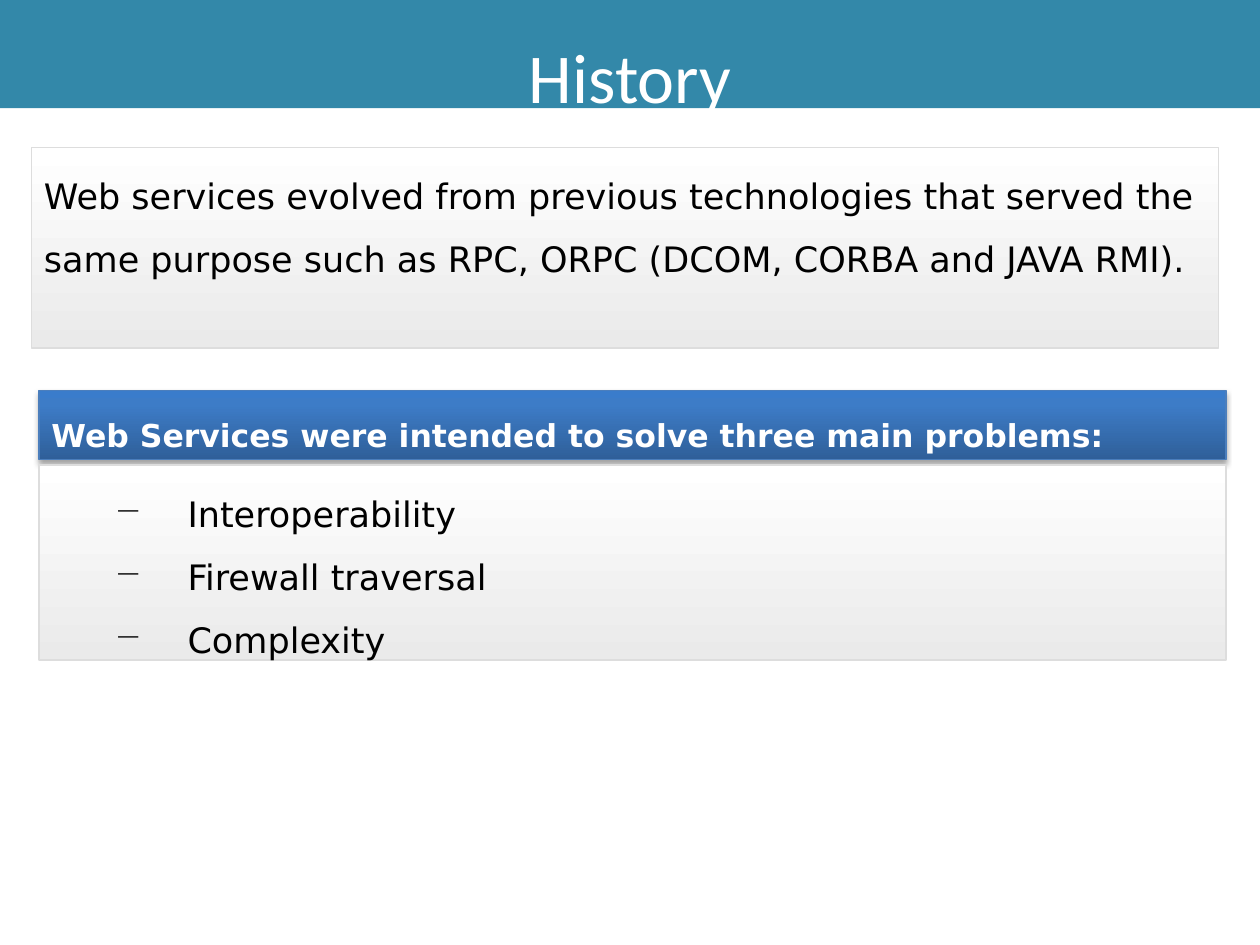
from copy import deepcopy

from pptx import Presentation
from pptx.dml.color import RGBColor
from pptx.enum.shapes import MSO_SHAPE as Shape
from pptx.enum.text import MSO_ANCHOR as Anchor, PP_ALIGN as Align
from pptx.oxml import parse_xml
from pptx.oxml.ns import nsdecls, qn
from pptx.util import Inches, Pt

TEAL = RGBColor(0x33, 0x88, 0xA9)
WHITE = RGBColor(0xFF, 0xFF, 0xFF)
BLACK = RGBColor(0, 0, 0)
PALE = RGBColor(0xEA, 0xEA, 0xEA)
BORDER = RGBColor(0xDD, 0xDD, 0xDD)
HEADER_LINE = RGBColor(0x4B, 0x7E, 0xBC)
DEEP_BLUE = RGBColor(0x2F, 0x5F, 0x99)
MID_BLUE = RGBColor(0x3D, 0x7C, 0xC7)
BRIGHT_BLUE = RGBColor(0x3A, 0x7C, 0xCB)
DASH = RGBColor(0x29, 0x29, 0x29)

TITLE = "History"
INTRO = ("Web services evolved from previous technologies that served the same "
         "purpose such as RPC, ORPC (DCOM, CORBA and JAVA RMI).")
HEADING = "Web Services were intended to solve three main problems:"
PROBLEMS = ["Interoperability", "Firewall traversal", "Complexity"]

SLIDE_W, SLIDE_H = 10, 7.5
PANEL_W = 9.42
LIST_LEFT = 0.31
GREY_STOPS = [(0, WHITE), (1, PALE)]
BLUE_STOPS = [(0, DEEP_BLUE), (0.8, MID_BLUE), (1, BRIGHT_BLUE)]

deck = Presentation()
deck.slide_width, deck.slide_height = Inches(SLIDE_W), Inches(SLIDE_H)
slide = deck.slides.add_slide(deck.slide_layouts[6])


def add_box(left, top, width, height, lines, size, color, font="DejaVu Sans",
            bold=False, align=Align.LEFT, anchor=Anchor.TOP, indent=None, bullet=None):
    box = slide.shapes.add_shape(
        Shape.RECTANGLE, Inches(left), Inches(top), Inches(width), Inches(height))
    box.shadow.inherit = False
    frame = box.text_frame
    frame.word_wrap = True
    frame.vertical_anchor = anchor
    for number, line in enumerate(lines):
        para = frame.add_paragraph() if number else frame.paragraphs[0]
        para.text = line
        para.alignment = align
        para.line_spacing = 1.5
        props = para._p.get_or_add_pPr()
        if indent:
            margin, hanging = indent
            props.set("marL", str(Inches(margin)))
            props.set("indent", str(Inches(-hanging)))
        if bullet:
            para.level = 1
            props.append(parse_xml(
                f'<a:buClr {nsdecls("a")}><a:srgbClr val="{DASH}"/></a:buClr>'))
            props.append(parse_xml(f'<a:buChar {nsdecls("a")} char="{bullet}"/>'))
        para.font.name, para.font.size = font, Pt(size)
        para.font.bold, para.font.color.rgb = bold, color
    return box


def shade(box, stops, angle, line_color, line_width):
    box.fill.gradient()
    box.fill.gradient_angle = angle
    stop_list = box._element.spPr.find(qn("a:gradFill")).find(qn("a:gsLst"))
    while len(stop_list) < len(stops):
        stop_list.append(deepcopy(stop_list[-1]))
    for stop, (position, color) in zip(box.fill.gradient_stops, stops):
        stop.position, stop.color.rgb = position, color
    box.line.color.rgb, box.line.width = line_color, Pt(line_width)


title = add_box(0, 0, SLIDE_W, 0.86, [TITLE], 40, WHITE, "Calibri",
                align=Align.CENTER, anchor=Anchor.MIDDLE)
title.fill.solid()
title.fill.fore_color.rgb = TEAL
title.line.fill.background()

intro = add_box(0.25, 1.17, PANEL_W, 1.59, [INTRO], 20, BLACK)
shade(intro, GREY_STOPS, 270, BORDER, 1)

heading = add_box(LIST_LEFT, 3.1, PANEL_W, 0.55, [HEADING], 18, WHITE,
                  bold=True, indent=(0.67, 0.67))
shade(heading, BLUE_STOPS, 90, HEADER_LINE, 0.75)
heading._element.spPr.find(qn("a:effectLst")).append(parse_xml(
    f'<a:outerShdw {nsdecls("a")} blurRad="{Pt(3.1)}" dist="{Pt(1.8)}" dir="5400000" '
    f'rotWithShape="0"><a:srgbClr val="{BLACK}"><a:alpha val="35000"/></a:srgbClr>'
    '</a:outerShdw>'))

problems = add_box(LIST_LEFT, 3.69, PANEL_W, 1.55, PROBLEMS, 20, BLACK,
                   indent=(1.08, 0.58), bullet="−")
shade(problems, GREY_STOPS, 270, BORDER, 1)

deck.save("out.pptx")
